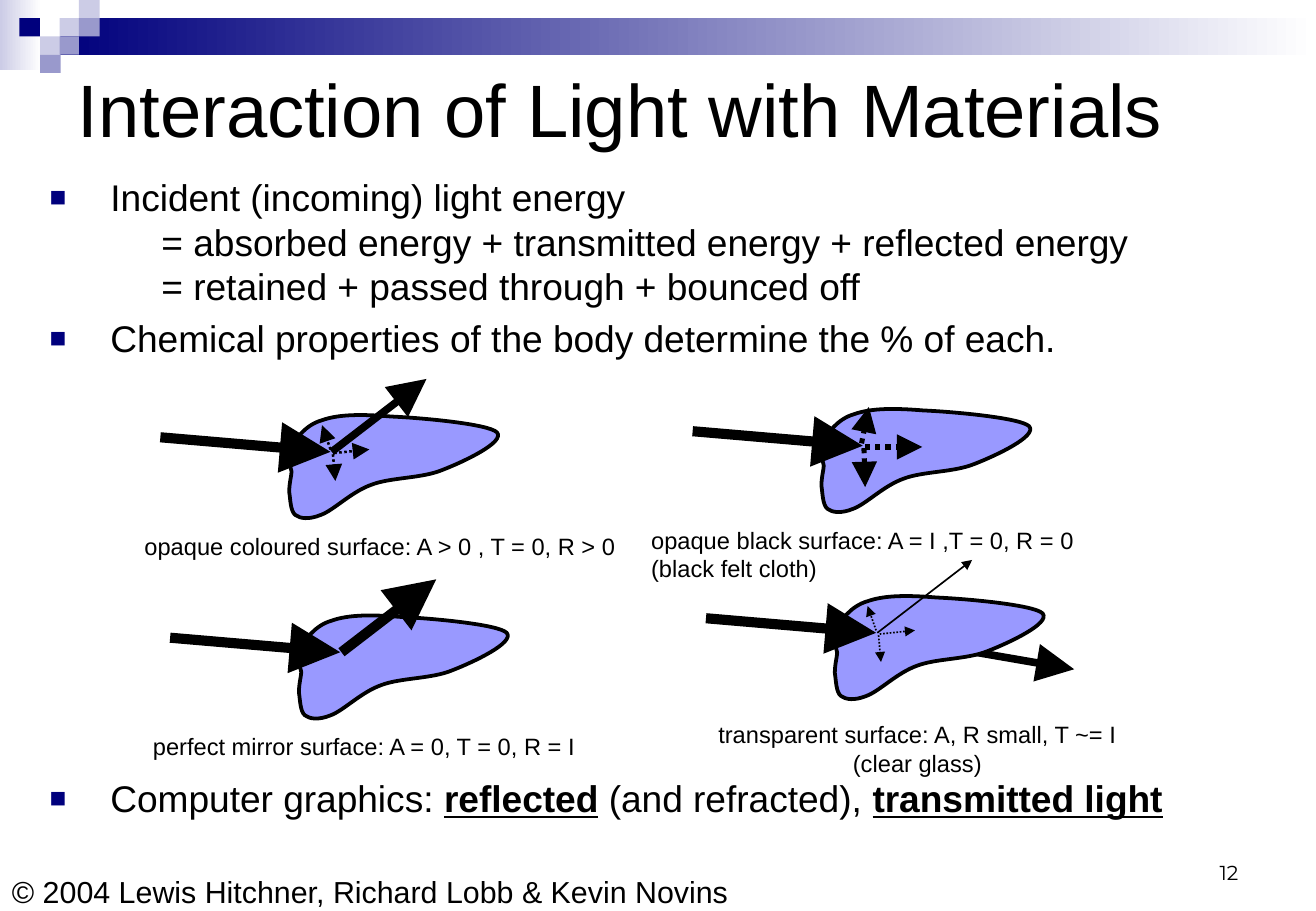
import lxml.etree
import pptx
import pptx.dml.color
import pptx.enum.dml
import pptx.enum.shapes
import pptx.enum.text
import pptx.oxml.ns
import pptx.util

ALIGN = pptx.enum.text.PP_ALIGN
ANCHOR = pptx.enum.text.MSO_ANCHOR
NAVY, LILAC, VIOLET, BODY_FILL = "00007D", "CCCCE6", "9999CC", "9999FF"
BLACK, WHITE = "000000", "FFFFFF"

LENS_START = (5, 48)
LENS_CURVES = [
    ((5, 45), (0, 35), (4, 28)),
    ((8, 21), (16, 9), (30, 5)),
    ((44, 0), (63, 0), (87, 2)),
    ((111, 3), (167, 8), (174, 15)),
    ((181, 23), (147, 39), (129, 46)),
    ((112, 53), (87, 52), (71, 58)),
    ((54, 64), (40, 79), (29, 83)),
    ((19, 87), (12, 86), (8, 83)),
    ((4, 80), (4, 70), (3, 64)),
    ((3, 57), (5, 50), (5, 47)),
]
INCIDENT = (-103, 19, 37, 31)
REFLECTED = (38, 31, 116, -29)
TRANSMITTED = (38, 33, 200, 61)
SCATTERED = [(39, 33, 41, 55), (40, 32, 69, 29), (37, 29, 30, 9)]
ABSORBED = [(38, 33, 39, 65), (39, 32, 86, 32), (36, 29, 42, -1)]


def color(value):
    return pptx.dml.color.RGBColor.from_string(value)


def add_xml(parent, tag, **attributes):
    return lxml.etree.SubElement(parent, pptx.oxml.ns.qn(tag), attributes)


class SlideBuilder:
    """Draw styled elements on one slide, with lengths in px of 1/100 inch."""

    SCALE = 9144
    FONT = "Arial"

    def __init__(self, presentation, width, height):
        presentation.slide_width = self.emu(width)
        presentation.slide_height = self.emu(height)
        self.slide = presentation.slides.add_slide(presentation.slide_layouts[6])

    def emu(self, px):
        return pptx.util.Emu(round(px * self.SCALE))

    def rectangle(self, left, top, width, height, fill, fade_to=None):
        shape = self.slide.shapes.add_shape(
            pptx.enum.shapes.MSO_SHAPE.RECTANGLE, *map(self.emu, (left, top, width, height)))
        shape.shadow.inherit = False
        shape.line.fill.background()
        if fade_to:
            shape.fill.gradient()
            shape.fill.gradient_angle = 0
            for stop, value in zip(shape.fill.gradient_stops, (fill, fade_to)):
                stop.color.rgb = color(value)
        else:
            shape.fill.solid()
            shape.fill.fore_color.rgb = color(fill)

    def lens(self, left, top):
        start_x, start_y = LENS_START
        builder = self.slide.shapes.build_freeform(left + start_x, top + start_y, scale=self.SCALE)
        builder.add_line_segments(
            [(left + x, top + y) for curve in LENS_CURVES for x, y in curve], close=False)
        shape = builder.convert_to_shape()
        segments = list(shape._element.iter(pptx.oxml.ns.qn("a:lnTo")))
        outline = segments[0].getparent()
        for index in range(0, len(segments), 3):
            curve = add_xml(outline, "a:cubicBezTo")
            for segment in segments[index:index + 3]:
                curve.append(segment[0])
                outline.remove(segment)
        shape.shadow.inherit = False
        shape.fill.solid()
        shape.fill.fore_color.rgb = color(BODY_FILL)
        shape.line.color.rgb = color(BLACK)
        shape.line.width = pptx.util.Pt(2.25)

    def arrow(self, left, top, ends, width, dotted=False):
        x1, y1, x2, y2 = ends
        connector = self.slide.shapes.add_connector(
            pptx.enum.shapes.MSO_CONNECTOR.STRAIGHT,
            *map(self.emu, (left + x1, top + y1, left + x2, top + y2)))
        line = connector.line
        line.color.rgb = color(BLACK)
        line.width = pptx.util.Pt(width)
        if dotted:
            line.dash_style = pptx.enum.dml.MSO_LINE.ROUND_DOT
        properties = connector._element.spPr
        size = "lg" if width > 1 else "med"
        add_xml(properties.find(pptx.oxml.ns.qn("a:ln")), "a:tailEnd",
                type="triangle", w=size, len=size)
        add_xml(properties, "a:effectLst")

    def style(self, paragraph, size, font=FONT):
        paragraph.font.size = pptx.util.Pt(size)
        paragraph.font.name = font
        paragraph.font.color.rgb = color(BLACK)

    def frame(self, left, top, width, height, wrap=True, anchor=ANCHOR.TOP):
        shape = self.slide.shapes.add_textbox(*map(self.emu, (left, top, width, height)))
        shape.text_frame.word_wrap = wrap
        shape.text_frame.vertical_anchor = anchor
        return shape.text_frame

    def text(self, box, words, size, wrap=True, anchor=ANCHOR.TOP, align=ALIGN.LEFT, font=FONT):
        paragraph = self.frame(*box, wrap, anchor).paragraphs[0]
        paragraph.text = words
        paragraph.alignment = align
        self.style(paragraph, size, font)

    def outline(self, box, entries, size, line_spacing):
        frame = self.frame(*box)
        for index, (runs, bulleted, space_before) in enumerate(entries):
            paragraph = frame.add_paragraph() if index else frame.paragraphs[0]
            properties = paragraph._p.get_or_add_pPr()
            properties.set("marL", str(self.emu(50 if bulleted else 92)))
            properties.set("indent", str(self.emu(-50 if bulleted else 0)))
            if bulleted:
                add_xml(add_xml(properties, "a:buClr"), "a:srgbClr", val=NAVY)
                add_xml(properties, "a:buSzPct", val="75000")
                add_xml(properties, "a:buFont", typeface=self.FONT)
                add_xml(properties, "a:buChar", char="■")
            paragraph.line_spacing = pptx.util.Pt(line_spacing)
            paragraph.space_before = pptx.util.Pt(space_before)
            self.style(paragraph, size)
            for words, emphasized in runs:
                run = paragraph.add_run()
                run.text = words
                if emphasized:
                    run.font.bold = run.font.underline = True


def main():
    presentation = pptx.Presentation()
    builder = SlideBuilder(presentation, 1083, 750)

    builder.rectangle(0, 0, 34, 58, LILAC, WHITE)
    builder.rectangle(49, 15, 1034, 30, NAVY, WHITE)
    for left, top, fill in [(49, 15, LILAC), (65, 0, LILAC), (65, 15, VIOLET), (33, 30, LILAC),
                            (16, 15, NAVY), (49, 30, VIOLET), (33, 45, VIOLET)]:
        builder.rectangle(left, top, 17 if left != 49 else 16, 15, fill)

    builder.text((54, 50, 975, 78), "Interaction of Light with Materials", 44, anchor=ANCHOR.MIDDLE)
    builder.outline((31, 139, 1021, 562), [
        ([("Incident (incoming) light energy", False)], True, 0),
        ([("= absorbed energy + transmitted energy + reflected energy", False)], False, 0),
        ([("= retained + passed through + bounced off", False)], False, 0),
        ([("Chemical properties of the body determine the % of each.", False)], True, 4.4),
        ([("Computer graphics: ", False), ("reflected", True), (" (and refracted), ", False),
          ("transmitted light", True)], True, 246.2),
    ], 22, 26.4)

    scenes = [
        (235, 341, REFLECTED, 4.5, SCATTERED, 1.5, (109, 433, 408, 33), ALIGN.LEFT,
         "opaque coloured surface: A > 0 , T = 0, R > 0"),
        (673, 336, None, 0, ABSORBED, 3, (526, 428, 369, 57), ALIGN.LEFT,
         "opaque black surface: A = I ,T = 0, R = 0\v(black felt cloth)"),
        (243, 506, REFLECTED, 6, [], 0, (116, 598, 368, 33), ALIGN.LEFT,
         "perfect mirror surface: A = 0, T = 0, R = I"),
        (684, 490, REFLECTED, 1, SCATTERED, 1, (581, 588, 348, 57), ALIGN.CENTER,
         "transparent surface: A, R small, T ~= I\v(clear glass)"),
    ]
    for left, top, reflected, reflected_width, inner, inner_width, box, align, caption in scenes:
        if caption.startswith("transparent"):
            builder.arrow(left, top, TRANSMITTED, 4.5)
        builder.lens(left, top)
        builder.arrow(left, top, INCIDENT, 6)
        if reflected:
            builder.arrow(left, top, reflected, reflected_width)
        for ends in inner:
            builder.arrow(left, top, ends, inner_width, dotted=True)
        builder.text(box, caption, 14, wrap=False, align=align)

    builder.text((776, 683, 253, 50), "12", 12, anchor=ANCHOR.BOTTOM, align=ALIGN.RIGHT,
                 font="Montserrat")
    builder.text((0, 714, 615, 40), "© 2004 Lewis Hitchner, Richard Lobb & Kevin Novins", 18,
                 wrap=False)
    presentation.save("out.pptx")


if __name__ == "__main__":
    main()
